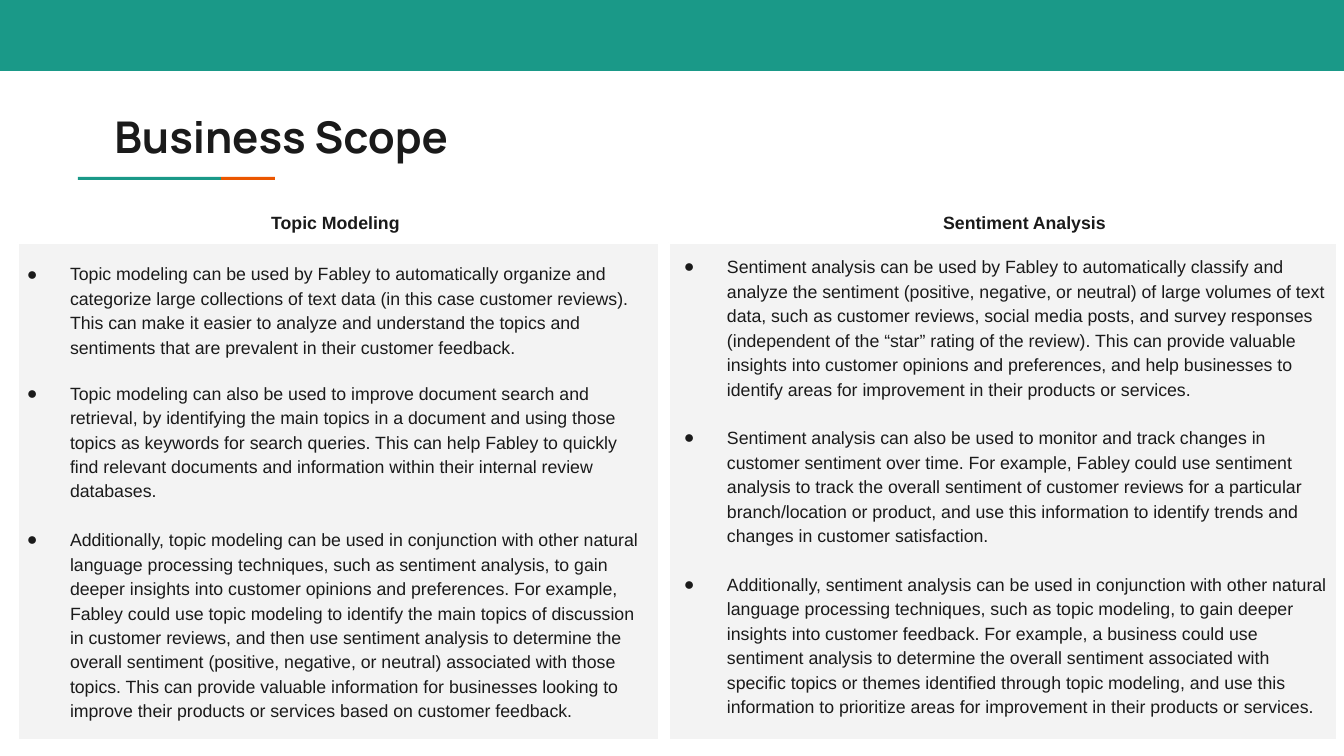
from lxml import etree
from pptx import Presentation
from pptx.dml.color import RGBColor
from pptx.enum.shapes import MSO_SHAPE
from pptx.enum.text import MSO_ANCHOR, MSO_AUTO_SIZE, PP_ALIGN
from pptx.oxml.ns import qn
from pptx.util import Pt

RECTANGLE = MSO_SHAPE.RECTANGLE
MIDDLE = MSO_ANCHOR.MIDDLE
NO_AUTOFIT = MSO_AUTO_SIZE.NONE
CENTER, LEFT = PP_ALIGN.CENTER, PP_ALIGN.LEFT

PX = 914400 / 134.4
INK, GREEN, ORANGE, PANEL, WHITE = "1A1A1A", "1A9988", "EB5600", "F3F3F3", "FFFFFF"
INDENT = 43


def emu(*lengths):
    """Turn px lengths into whole EMU."""
    return [round(length * PX) for length in lengths]


def style(font, name, size, bold=False):
    font.name, font.size, font.bold = name, Pt(size), bold
    font.color.rgb = RGBColor.from_string(INK)


deck = Presentation()
deck.slide_width, deck.slide_height = emu(1344, 756)
page = deck.slides.add_slide(deck.slide_layouts[5])

# Top band, title underline and the two panels
rectangles = [
    ((0, 0, 1344, 71), GREEN, None),
    ((78, 177, 143, 3), GREEN, None),
    ((221, 177, 54, 3), ORANGE, None),
    ((18, 243, 641, 497), PANEL, WHITE),
    ((669, 243, 668, 497), PANEL, WHITE),
]
for place, fill, outline in rectangles:
    shape = page.shapes.add_shape(RECTANGLE, *emu(*place))
    shape.shadow.inherit = False
    shape.fill.solid()
    shape.fill.fore_color.rgb = RGBColor.from_string(fill)
    if outline:
        shape.line.color.rgb = RGBColor.from_string(outline)
        shape.line.width = Pt(0.75)
    else:
        shape.line.fill.background()

title = page.shapes.title
title.left, title.top, title.width, title.height = emu(101, 97, 1130, 79)
title.text = "Business Scope"
title.text_frame.auto_size = NO_AUTOFIT
title.text_frame.vertical_anchor = MIDDLE
title.text_frame.paragraphs[0].alignment = LEFT
style(title.text_frame.paragraphs[0].font, "Manrope", 23.4, True)

# Each column: heading, heading place, list place, (space before, text) items
columns = [
    ("Topic Modeling", (115, 196, 441, 48), (27, 260, 622, 466), [
        (0, "Topic modeling can be used by Fabley to automatically organize and categorize "
            "large collections of text data (in this case customer reviews). This can make it "
            "easier to analyze and understand the topics and sentiments that are prevalent in "
            "their customer feedback."),
        (11.5, "Topic modeling can also be used to improve document search and retrieval, by "
               "identifying the main topics in a document and using those topics as keywords "
               "for search queries. This can help Fabley to quickly find relevant documents "
               "and information within their internal review databases."),
        (13, "Additionally, topic modeling can be used in conjunction with other natural "
             "language processing techniques, such as sentiment analysis, to gain deeper "
             "insights into customer opinions and preferences. For example, Fabley could use "
             "topic modeling to identify the main topics of discussion in customer reviews, "
             "and then use sentiment analysis to determine the overall sentiment (positive, "
             "negative, or neutral) associated with those topics. This can provide valuable "
             "information for businesses looking to improve their products or services based "
             "on customer feedback."),
    ]),
    ("Sentiment Analysis", (804, 196, 441, 48), (684, 253, 645, 469), [
        (0, "Sentiment analysis can be used by Fabley to automatically classify and analyze "
            "the sentiment (positive, negative, or neutral) of large volumes of text data, "
            "such as customer reviews, social media posts, and survey responses (independent "
            "of the “star” rating of the review). This can provide valuable insights into "
            "customer opinions and preferences, and help businesses to identify areas for "
            "improvement in their products or services."),
        (13, "Sentiment analysis can also be used to monitor and track changes in customer "
             "sentiment over time. For example, Fabley could use sentiment analysis to track "
             "the overall sentiment of customer reviews for a particular branch/location or "
             "product, and use this information to identify trends and changes in customer "
             "satisfaction."),
        (13, "Additionally, sentiment analysis can be used in conjunction with other natural "
             "language processing techniques, such as topic modeling, to gain deeper insights "
             "into customer feedback. For example, a business could use sentiment analysis to "
             "determine the overall sentiment associated with specific topics or themes "
             "identified through topic modeling, and use this information to prioritize areas "
             "for improvement in their products or services."),
    ]),
]
for heading, heading_place, list_place, items in columns:
    box = page.shapes.add_textbox(*emu(*heading_place))
    frame = box.text_frame
    frame.word_wrap = True
    frame.margin_top, frame.margin_bottom = emu(13, 13)
    para = frame.paragraphs[0]
    para.text = heading
    para.alignment = CENTER
    para.line_spacing = 1.15
    style(para.font, "Arial", 9.5, True)

    box = page.shapes.add_textbox(*emu(*list_place))
    frame = box.text_frame
    frame.word_wrap = True
    frame.margin_left = frame.margin_right = frame.margin_top = frame.margin_bottom = 0
    for number, (gap, text) in enumerate(items):
        para = frame.add_paragraph() if number else frame.paragraphs[0]
        para.text = text
        para.line_spacing = 1.15
        para.space_before = Pt(gap)
        properties = para._p.get_or_add_pPr()
        margin = emu(INDENT)[0]
        properties.set("marL", str(margin))
        properties.set("indent", str(-margin))
        etree.SubElement(properties, qn("a:buFont"), typeface="Arial")
        etree.SubElement(properties, qn("a:buChar"), char="●")
        style(para.font, "Arial", 9.5)

deck.save("out.pptx")
